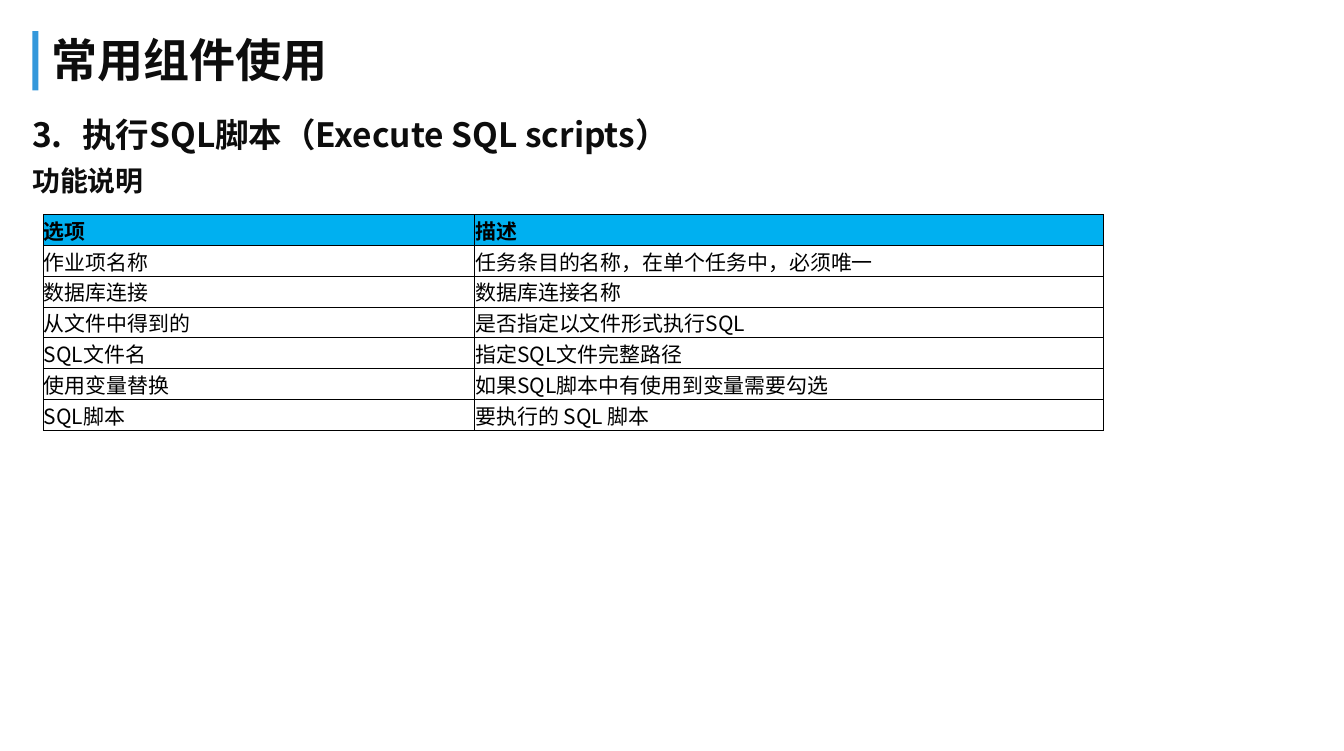
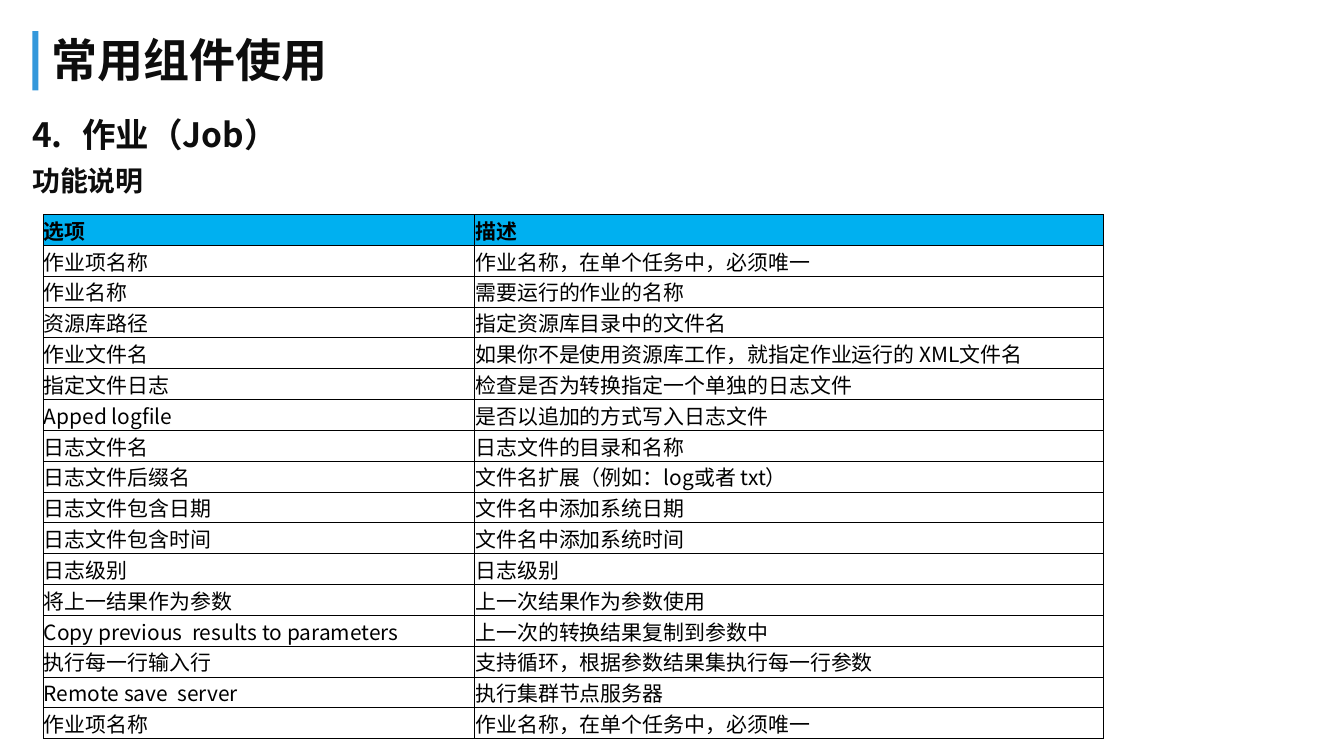
from dataclasses import dataclass

from lxml import etree
from pptx import Presentation
from pptx import util as u
from pptx.dml.color import RGBColor
from pptx.enum import shapes, text
from pptx.oxml.ns import qn

Cm, Pt = u.Cm, u.Pt

# Content
TITLE = "常用组件使用"
SUBHEADING = "功能说明"
HEADER = ("选项", "描述")
SECTIONS = [
    {
        "number": 3,
        "heading": "执行SQL脚本（Execute SQL scripts）",
        "options": [
            ("作业项名称", "任务条目的名称，在单个任务中，必须唯一"),
            ("数据库连接", "数据库连接名称"),
            ("从文件中得到的", "是否指定以文件形式执行SQL"),
            ("SQL文件名", "指定SQL文件完整路径"),
            ("使用变量替换", "如果SQL脚本中有使用到变量需要勾选"),
            ("SQL脚本", "要执行的 SQL 脚本"),
        ],
    },
    {
        "number": 4,
        "heading": "作业（Job）",
        "options": [
            ("作业项名称", "作业名称，在单个任务中，必须唯一"),
            ("作业名称", "需要运行的作业的名称"),
            ("资源库路径", "指定资源库目录中的文件名"),
            ("作业文件名", "如果你不是使用资源库工作，就指定作业运行的 XML文件名"),
            ("指定文件日志", "检查是否为转换指定一个单独的日志文件"),
            ("Apped logfile", "是否以追加的方式写入日志文件"),
            ("日志文件名", "日志文件的目录和名称"),
            ("日志文件后缀名", "文件名扩展（例如：log或者 txt）"),
            ("日志文件包含日期", "文件名中添加系统日期"),
            ("日志文件包含时间", "文件名中添加系统时间"),
            ("日志级别", "日志级别"),
            ("将上一结果作为参数", "上一次结果作为参数使用"),
            ("Copy previous  results to parameters", "上一次的转换结果复制到参数中"),
            ("执行每一行输入行", "支持循环，根据参数结果集执行每一行参数"),
            ("Remote save  server", "执行集群节点服务器"),
            ("作业项名称", "作业名称，在单个任务中，必须唯一"),
        ],
    },
]


@dataclass(frozen=True)
class Theme:
    font: str = "Noto Sans CJK SC"
    accent: str = "3498DB"
    ink: str = "0D0D0D"
    header_fill: str = "00B0F0"
    cell_fill: str = "FFFFFF"
    cell_ink: str = "000000"
    title: int = 66
    heading: int = 48
    subheading: int = 40
    cell: int = 30


T = Theme()

# Layout: left, top, width, height
BAR = [Cm(v) for v in (1.64, 1.58, 0.3, 3)]
TITLE_BOX = [Cm(v) for v in (2.46, 1.42, 60.86, 3.51)]
BODY_BOX = [Cm(v) for v in (1.5, 5.87, 60.86, 32.13)]
TABLE_LEFT, TABLE_TOP, ROW_HEIGHT = Cm(2.19), Cm(10.85), Cm(1.56)
COLUMNS = [Cm(21.82), Cm(31.8)]
INDENT = Cm(2.54)


def style(p, size, color, bold=True):
    p.alignment = text.PP_ALIGN.LEFT
    for r in p.runs:
        f = r.font
        f.name, f.size, f.bold = T.font, Pt(size), bold
        f.color.rgb = RGBColor.from_string(color)
        etree.SubElement(f._element, qn("a:ea"), typeface=T.font)


def set_insets(tf, inset):
    tf.margin_left = tf.margin_right = tf.margin_top = tf.margin_bottom = inset
    tf.word_wrap = True


def add_title(s):
    bar = s.shapes.add_shape(shapes.MSO_SHAPE.RECTANGLE, *BAR)
    bar.shadow.inherit = False
    bar.fill.solid()
    bar.fill.fore_color.rgb = RGBColor.from_string(T.accent)
    bar.line.fill.background()

    sp = s.shapes.title
    sp.left, sp.top, sp.width, sp.height = TITLE_BOX
    tf = sp.text_frame
    tf.text = TITLE
    set_insets(tf, Cm(0.13))
    tf.auto_size = text.MSO_AUTO_SIZE.NONE
    tf.vertical_anchor = text.MSO_ANCHOR.MIDDLE
    tf.paragraphs[0].line_spacing = 0.9
    style(tf.paragraphs[0], T.title, T.ink)


def add_headings(s, number, heading):
    tf = s.shapes.add_textbox(*BODY_BOX).text_frame
    set_insets(tf, Cm(0.13))
    tf.text = f"{heading}\n{SUBHEADING}"
    for p, size in zip(tf.paragraphs, (T.heading, T.subheading)):
        p.line_spacing, p.space_before = 0.9, Pt(18)
        style(p, size, T.ink)
    # Automatic number with a hanging indent
    pPr = tf.paragraphs[0]._p.get_or_add_pPr()
    pPr.set("marL", str(INDENT))
    pPr.set("indent", str(-INDENT))
    etree.SubElement(pPr, qn("a:buFont"), typeface="+mj-lt")
    etree.SubElement(pPr, qn("a:buAutoNum"), type="arabicPeriod", startAt=str(number))


def set_borders(cell):
    tcPr = cell._tc.get_or_add_tcPr()
    for i, side in enumerate(("lnL", "lnR", "lnT", "lnB")):
        ln = etree.Element(qn(f"a:{side}"), w=str(Pt(1)))
        fill = etree.SubElement(ln, qn("a:solidFill"))
        etree.SubElement(fill, qn("a:srgbClr"), val=T.cell_ink)
        tcPr.insert(i, ln)


def add_options(s, options):
    rows = [HEADER, *options]
    table = s.shapes.add_table(len(rows), len(COLUMNS), TABLE_LEFT, TABLE_TOP,
                               sum(COLUMNS), ROW_HEIGHT * len(rows)).table
    table.horz_banding = False
    for column, width in zip(table.columns, COLUMNS):
        column.width = width
    for i, row in enumerate(rows):
        table.rows[i].height = ROW_HEIGHT
        for j, value in enumerate(row):
            cell = table.cell(i, j)
            cell.text = value
            cell.margin_left = cell.margin_right = cell.margin_top = Cm(0.03)
            cell.margin_bottom = 0
            cell.vertical_anchor = text.MSO_ANCHOR.MIDDLE
            cell.fill.solid()
            cell.fill.fore_color.rgb = RGBColor.from_string(
                T.cell_fill if i else T.header_fill)
            set_borders(cell)
            style(cell.text_frame.paragraphs[0], T.cell, T.cell_ink, bold=i == 0)


def main():
    prs = Presentation()
    prs.slide_width, prs.slide_height = Cm(67.97), Cm(38)
    title_only = prs.slide_layouts[5]
    for section in SECTIONS:
        s = prs.slides.add_slide(title_only)
        add_title(s)
        add_headings(s, section["number"], section["heading"])
        add_options(s, section["options"])
    prs.save("out.pptx")


if __name__ == "__main__":
    main()
